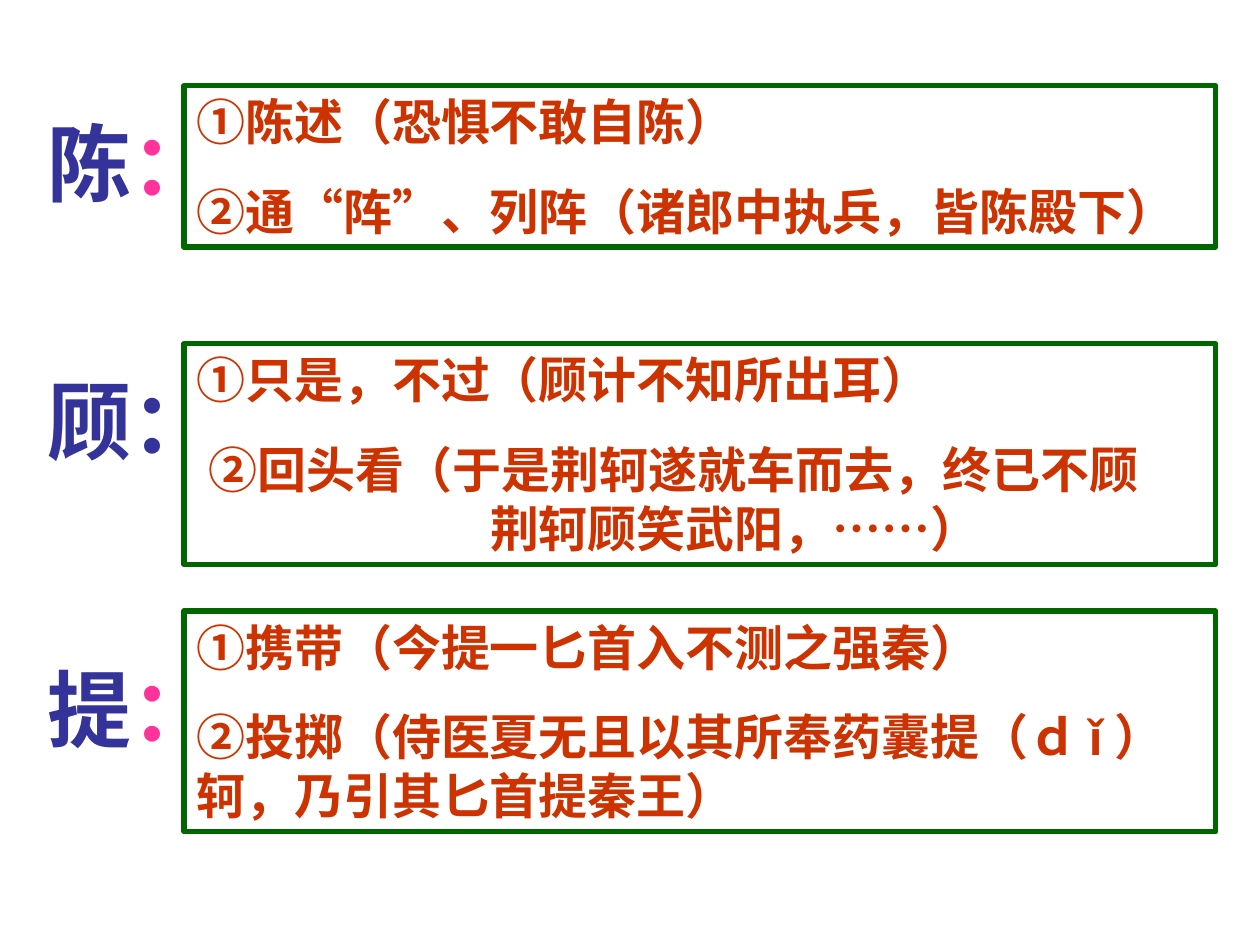
from pptx import Presentation
from pptx.dml.color import RGBColor
from pptx.enum.shapes import MSO_SHAPE
from pptx.enum.text import MSO_ANCHOR, MSO_AUTO_SIZE, PP_ALIGN
from pptx.util import Cm, Pt

COLORS = {
    "border": "006600",
    "meaning": "CC3300",
    "word": "333399",
    "colon": "FF3399",
}

# word, colon colour, label top, box top, box height (cm), meanings
ENTRIES = [
    ("陈", "colon", 2.13, 1.73, 3.25,
     ["①陈述（恐惧不敢自陈）",
      "②通“阵”、列阵（诸郎中执兵，皆陈殿下）"]),
    ("顾", "word", 7.32, 6.93, 4.45,
     ["①只是，不过（顾计不知所出耳）",
      "②回头看（于是荆轲遂就车而去，终已不顾\v荆轲顾笑武阳，……）"]),
    ("提", "colon", 13.13, 12.32, 4.45,
     ["①携带（今提一匕首入不测之强秦）",
      "②投掷（侍医夏无且以其所奉药囊提（ｄǐ）轲，乃引其匕首提秦王）"]),
]


def rgb(name):
    return RGBColor.from_string(COLORS[name])


def set_font(p, size, color):
    p.font.name = "Arial"
    p.font.size = Pt(size)
    p.font.bold = True
    p.font.color.rgb = rgb(color)


prs = Presentation()
prs.slide_width, prs.slide_height = Cm(25.4), Cm(19.05)
s = prs.slides.add_slide(prs.slide_layouts[6])

for word, colon_color, label_top, box_top, box_height, meanings in ENTRIES:
    # Framed meanings
    sp = s.shapes.add_shape(MSO_SHAPE.RECTANGLE, Cm(3.71), Cm(box_top),
                            Cm(20.8), Cm(box_height))
    sp.shadow.inherit = False
    sp.fill.background()
    sp.line.color.rgb = rgb("border")
    sp.line.width = Pt(3)
    tf = sp.text_frame
    tf.word_wrap = True
    tf.auto_size = MSO_AUTO_SIZE.SHAPE_TO_FIT_TEXT
    tf.vertical_anchor = MSO_ANCHOR.TOP
    for i, meaning in enumerate(meanings):
        p = tf.paragraphs[0] if i == 0 else tf.add_paragraph()
        p.text = meaning
        p.alignment = PP_ALIGN.LEFT
        if i:
            p.space_before = Pt(17.5)
        if "\v" in meaning:
            # Hanging indent sets the second line under the example
            pPr = p._p.get_or_add_pPr()
            pPr.set("marL", str(Cm(5.92)))
            pPr.set("indent", str(Cm(-5.68)))
        set_font(p, 28, "meaning")

    # Word label
    tf = s.shapes.add_textbox(Cm(0.71), Cm(label_top), Cm(3.89), Cm(2.29)).text_frame
    tf.word_wrap = False
    tf.auto_size = MSO_AUTO_SIZE.SHAPE_TO_FIT_TEXT
    p = tf.paragraphs[0]
    set_font(p, 48, "word")
    for text, color in ((word, "word"), ("：", colon_color)):
        r = p.add_run()
        r.text = text
        r.font.color.rgb = rgb(color)

prs.save("out.pptx")
